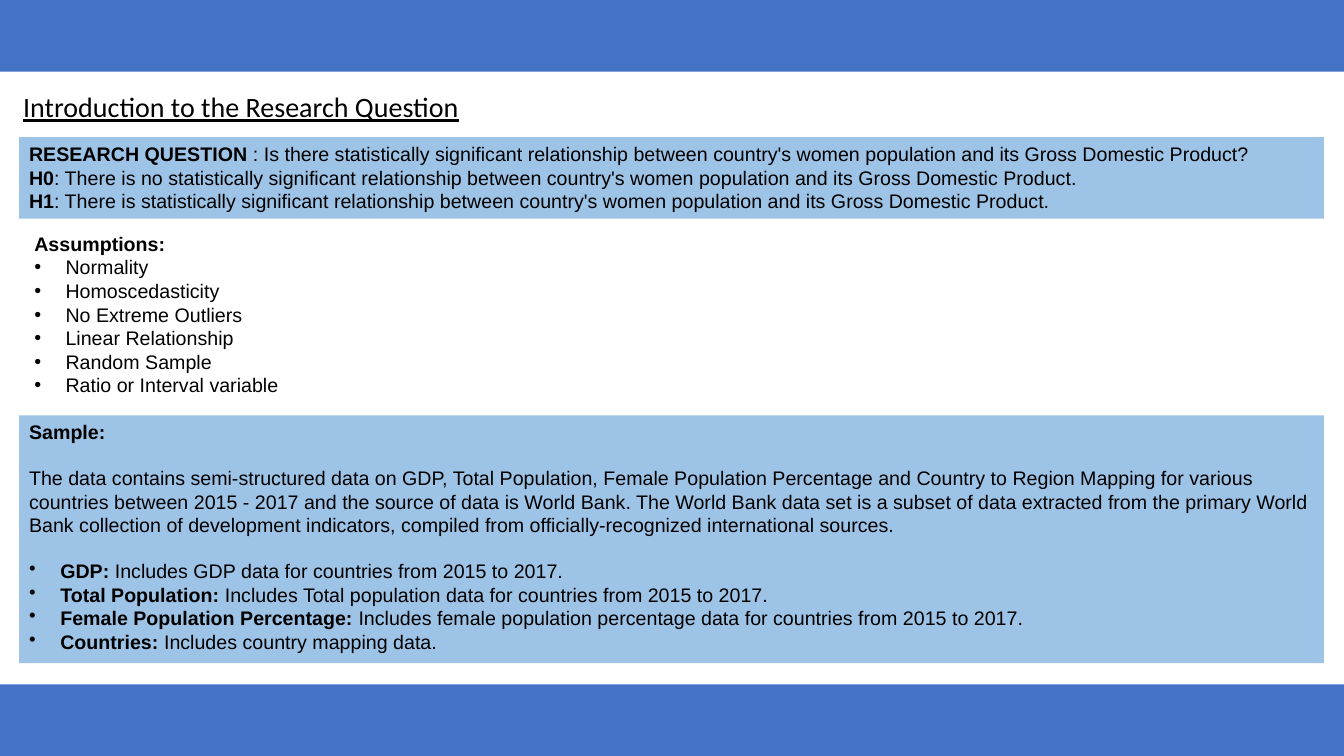
import pptx
import pptx.util
import pptx.dml.color
import pptx.enum.shapes
import pptx.enum.text
import pptx.oxml.ns
import lxml.etree

Inches = pptx.util.Inches
Pt = pptx.util.Pt

BAND_BLUE = "4472C4"
PANEL_BLUE = "9DC3E6"
BLACK = "000000"
PANEL_LEFT, PANEL_WIDTH = 0.19, 12.94
LINE_GAP = 16

QUESTION = [
    ("RESEARCH QUESTION", " : Is there statistically significant relationship between "
     "country's women population and its Gross Domestic Product?"),
    ("H0", ": There is no statistically significant relationship between "
     "country's women population and its Gross Domestic Product."),
    ("H1", ": There is statistically significant relationship between "
     "country's women population and its Gross Domestic Product."),
]
ASSUMPTIONS = ["Normality", "Homoscedasticity", "No Extreme Outliers",
               "Linear Relationship", "Random Sample", "Ratio or Interval variable"]
SAMPLE = (
    "The data contains semi-structured data on GDP, Total Population, Female Population "
    "Percentage and Country to Region Mapping for various countries between 2015 - 2017 "
    "and the source of data is World Bank. The World Bank data set is a subset of data "
    "extracted from the primary World Bank collection of development indicators, compiled "
    "from officially-recognized international sources."
)
DATA_SETS = [
    ("GDP:", " Includes GDP data for countries from 2015 to 2017."),
    ("Total Population:", " Includes Total population data for countries from 2015 to 2017."),
    ("Female Population Percentage:",
     " Includes female population percentage data for countries from 2015 to 2017."),
    ("Countries:", " Includes country mapping data."),
]


def color(value):
    return pptx.dml.color.RGBColor.from_string(value)


def place(box, left, top, width, height):
    box.left, box.top = Inches(left), Inches(top)
    box.width, box.height = Inches(width), Inches(height)


def add_rectangle(page, left, top, width, height, fill):
    box = page.shapes.add_shape(
        pptx.enum.shapes.MSO_SHAPE.RECTANGLE,
        Inches(left), Inches(top), Inches(width), Inches(height))
    box.shadow.inherit = False
    box.fill.solid()
    box.fill.fore_color.rgb = color(fill)
    box.line.fill.background()
    return box


def set_bullet(para, bulleted):
    """Give the paragraph a hanging bullet, or none."""
    props = para._p.get_or_add_pPr()
    indent = Inches(0.31) if bulleted else 0
    props.set("marL", str(indent))
    props.set("indent", str(-indent))
    tag = "a:buChar" if bulleted else "a:buNone"
    bullet = lxml.etree.SubElement(props, pptx.oxml.ns.qn(tag))
    if bulleted:
        bullet.set("char", "•")


def add_para(frame, strong="", plain="", bulleted=False, gap=0, size=14, face="Arial"):
    """Write a paragraph with a bold lead and a plain rest."""
    first = frame.paragraphs[0]
    para = frame.add_paragraph() if first.runs else first
    set_bullet(para, bulleted)
    para.alignment = pptx.enum.text.PP_ALIGN.LEFT
    para.space_before = Pt(gap)
    para.font.size = Pt(size)
    para.font.name = face
    para.font.color.rgb = color(BLACK)
    for text, bold in ((strong, True), (plain, False)):
        if text:
            span = para.add_run()
            span.text = text
            span.font.bold = bold
    return para


def prepare_frame(box, wrap=True):
    frame = box.text_frame
    frame.word_wrap = wrap
    frame.auto_size = pptx.enum.text.MSO_AUTO_SIZE.NONE
    frame.vertical_anchor = pptx.enum.text.MSO_ANCHOR.TOP
    return frame


def add_panel(page, top, height):
    return prepare_frame(
        add_rectangle(page, PANEL_LEFT, top, PANEL_WIDTH, height, PANEL_BLUE))


def main():
    deck = pptx.Presentation()
    deck.slide_width, deck.slide_height = Inches(13.33), Inches(7.5)
    page = deck.slides.add_slide(deck.slide_layouts[1])

    for top in (0, 6.79):
        add_rectangle(page, -0.01, top, 13.35, 0.71, BAND_BLUE)

    title = page.shapes.title
    place(title, 0.13, 0.84, 4.57, 0.44)
    heading = add_para(prepare_frame(title, wrap=False),
                       plain="Introduction to the Research Question",
                       size=20, face="Calibri")
    heading.font.underline = True

    question = add_panel(page, 1.36, 0.81)
    for label, text in QUESTION:
        add_para(question, label, text)

    body = page.placeholders[1]
    place(body, 0.24, 2.25, 2.64, 1.75)
    assumptions = prepare_frame(body, wrap=False)
    add_para(assumptions, "Assumptions:")
    for name in ASSUMPTIONS:
        add_para(assumptions, plain=name, bulleted=True)

    sample = add_panel(page, 4.12, 2.46)
    add_para(sample, "Sample:")
    add_para(sample, plain=SAMPLE, gap=LINE_GAP)
    for index, (label, text) in enumerate(DATA_SETS):
        add_para(sample, label, text, bulleted=True, gap=0 if index else LINE_GAP)

    deck.save("out.pptx")


if __name__ == "__main__":
    main()
